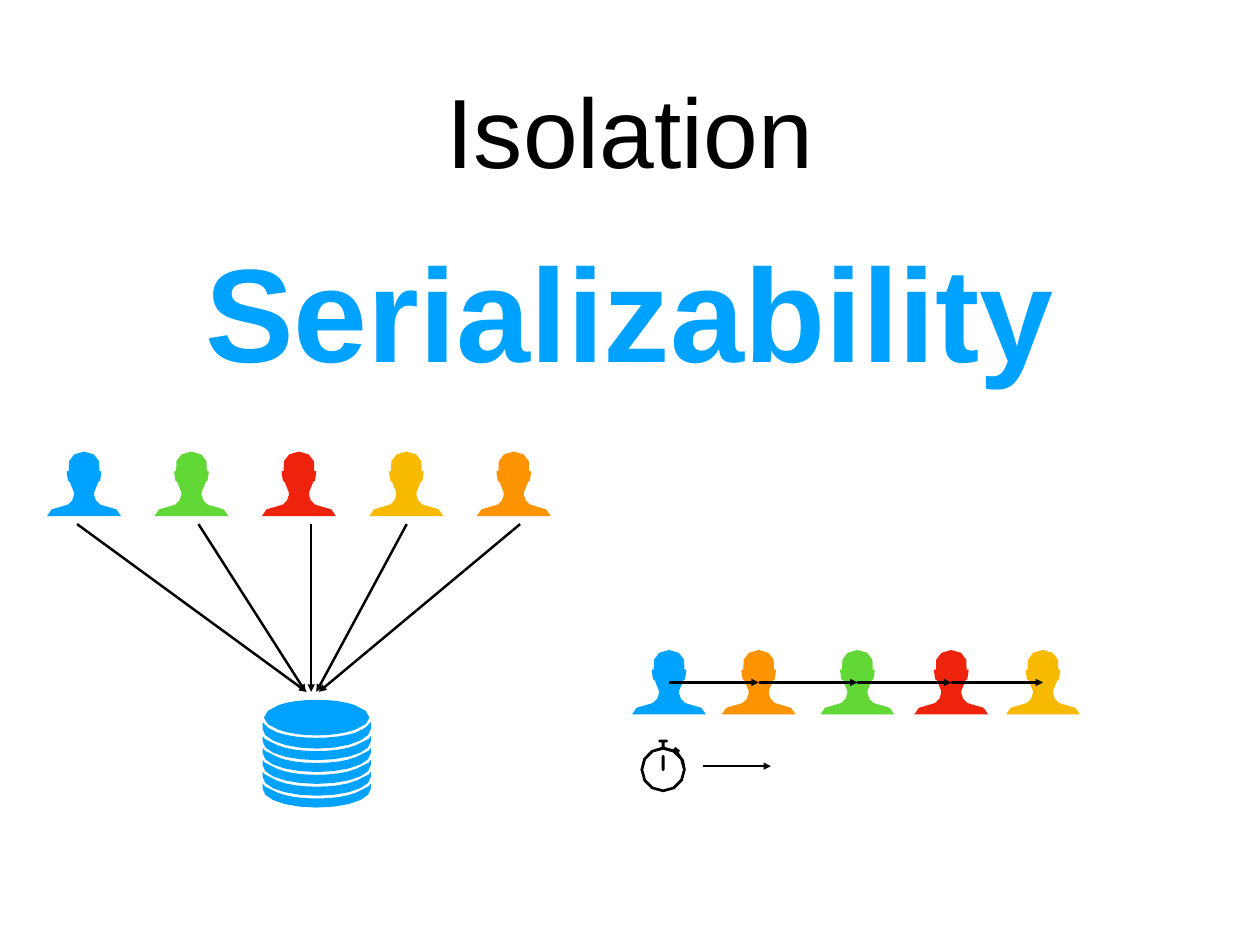
from dataclasses import dataclass
from itertools import pairwise
from math import ceil, dist

from lxml import etree
from pptx import Presentation
from pptx.dml.color import RGBColor
from pptx.enum.shapes import MSO_CONNECTOR
from pptx.enum.text import MSO_ANCHOR, MSO_AUTO_SIZE, PP_ALIGN
from pptx.oxml.ns import qn
from pptx.util import Cm, Pt

STRAIGHT = MSO_CONNECTOR.STRAIGHT
MIDDLE = MSO_ANCHOR.MIDDLE
CENTER = PP_ALIGN.CENTER
FIT_SHAPE = MSO_AUTO_SIZE.SHAPE_TO_FIT_TEXT
NO_FIT = MSO_AUTO_SIZE.NONE

BLUE, GREEN, RED = "00A2FF", "61D836", "EE230C"
YELLOW, ORANGE, BLACK = "F7BA01", "FE9301", "000000"
SEGMENT_LENGTH = 0.35

Point = tuple[float, float]
Contour = list[Point]
# An outline is a list of steps: one point is a line, three are a Bezier curve.
Outline = list[tuple[Point, ...]]


@dataclass
class Heading:
    text: str
    left: float
    top: float
    width: float
    height: float
    size: int
    color: str
    bold: bool
    auto_size: MSO_AUTO_SIZE


@dataclass
class Client:
    axis: float
    color: str


@dataclass
class Arrow:
    start: Point
    end: Point


def rgb(color: str) -> RGBColor:
    return RGBColor.from_string(color)


def flatten(outline: Outline) -> Contour:
    """Turn lines and curves into a row of points, more of them on long curves."""
    points = [outline[0][0]]
    for step in outline[1:]:
        if len(step) == 1:
            points.append(step[0])
            continue
        corners = (points[-1], *step)
        count = ceil(dist(corners[0], corners[3]) / SEGMENT_LENGTH)
        for i in range(1, count + 1):
            t = i / count
            weights = ((1 - t) ** 3, 3 * t * (1 - t) ** 2, 3 * t * t * (1 - t), t ** 3)
            x, y = (sum(w * c[k] for w, c in zip(weights, corners)) for k in (0, 1))
            points.append((x, y))
    return points


def symmetric(half: Outline) -> Contour:
    """Complete a half outline by mirroring it at its axis."""
    points = flatten(half)
    return points + [(-x, y) for x, y in reversed(points) if x]


def shifted(contour: Contour, down: float) -> Contour:
    return [(x, y + down) for x, y in contour]


def add_icon(shapes, contours: list[Contour], axis: float, top: float, color: str) -> None:
    placed = [[(Cm(axis + x), Cm(top + y)) for x, y in c] for c in contours]
    builder = shapes.build_freeform(*placed[0][0], scale=1.0)
    for i, contour in enumerate(placed):
        if i:
            builder.move_to(*contour[0])
        builder.add_line_segments(contour[1:], close=True)
    icon = builder.convert_to_shape()
    icon.shadow.inherit = False
    icon.fill.solid()
    icon.fill.fore_color.rgb = rgb(color)
    icon.line.fill.background()


def add_arrow(shapes, arrow: Arrow) -> None:
    ends = (Cm(v) for v in (*arrow.start, *arrow.end))
    connector = shapes.add_connector(STRAIGHT, *ends)
    connector.line.width = Pt(2)
    connector.line.color.rgb = rgb(BLACK)
    properties = connector._element.spPr
    etree.SubElement(properties.find(qn("a:ln")), qn("a:tailEnd"), type="triangle")
    etree.SubElement(properties, qn("a:effectLst"))


def add_heading(shapes, heading: Heading) -> None:
    area = (heading.left, heading.top, heading.width, heading.height)
    frame = shapes.add_textbox(*(Cm(v) for v in area)).text_frame
    frame.word_wrap = True
    frame.auto_size = heading.auto_size
    frame.vertical_anchor = MIDDLE
    frame.margin_left = frame.margin_right = Cm(0.14)
    frame.margin_top = frame.margin_bottom = Cm(0.14)
    paragraph = frame.paragraphs[0]
    paragraph.alignment = CENTER
    run = paragraph.add_run()
    run.text = heading.text
    run.font.name = "Arial"
    run.font.size = Pt(heading.size)
    run.font.bold = heading.bold
    run.font.color.rgb = rgb(heading.color)


# Icon outlines in centimetres, measured from the icon's axis
PERSON = [symmetric([
    ((0, 0),), ((0.23, 0), (0.38, 0.13), (0.43, 0.28)), ((0.44, 0.56),),
    ((0.5, 0.57),), ((0.46, 0.84),), ((0.41, 0.87),), ((0.29, 1.17),), ((0.29, 1.25),),
    ((0.34, 1.4),), ((0.46, 1.52),), ((0.66, 1.58),),
    ((0.91, 1.58), (0.99, 1.7), (1.06, 1.85)),
])]
DISK_LID = symmetric([
    ((0, 0),), ((0.43, 0), (0.81, 0.05), (1.09, 0.15)), ((1.37, 0.25), (1.51, 0.38), (1.51, 0.51)),
    ((1.51, 0.64), (1.37, 0.76), (1.09, 0.86)), ((0.81, 0.96), (0.43, 1.02), (0, 1.02)),
])
TOP_BAND = symmetric([
    ((0, 1.09),), ((0.43, 1.09), (0.81, 1.04), (1.12, 0.94)),
    ((1.33, 0.86), (1.48, 0.76), (1.55, 0.64)), ((1.55, 0.84),),
    ((1.55, 1.14), (0.86, 1.4), (0, 1.4)),
])
LOWER_BAND = symmetric([
    ((0, 1.47),), ((0.43, 1.47), (0.84, 1.42), (1.13, 1.3)),
    ((1.49, 1.12),), ((1.55, 1.04),), ((1.55, 1.19),),
    ((1.55, 1.5), (0.86, 1.73), (0, 1.73)),
])
DATABASE = [DISK_LID, TOP_BAND, *(shifted(LOWER_BAND, 0.34 * i) for i in range(5))]
WATCH_CASE = flatten([
    ((-0.11, -0.86),), ((-0.14, -0.82),), ((-0.11, -0.78),), ((-0.04, -0.78),),
    ((-0.04, -0.65),), ((-0.38, -0.63), (-0.65, -0.35), (-0.65, 0)),
    ((-0.65, 0.36), (-0.36, 0.65), (0, 0.65)), ((0.36, 0.65), (0.65, 0.36), (0.65, 0)),
    ((0.65, -0.19), (0.58, -0.37), (0.45, -0.48)), ((0.48, -0.55),), ((0.35, -0.65),),
    ((0.29, -0.58),), ((0.04, -0.65),), ((0.04, -0.78),), ((0.11, -0.78),),
    ((0.14, -0.82),), ((0.11, -0.86),),
])
WATCH_DIAL = symmetric([
    ((0, -0.57),), ((0.31, -0.57), (0.57, -0.31), (0.57, 0)),
    ((0.57, 0.31), (0.31, 0.57), (0, 0.57)),
])
WATCH_HAND = symmetric([((0, -0.43),), ((0.04, -0.38),), ((0.04, 0),), ((0, 0.05),)])
STOPWATCH = [WATCH_CASE, WATCH_DIAL, WATCH_HAND]

HEADINGS = [
    Heading("Isolation", 2.64, 0.71, 30.84, 5.99, 80, BLACK, False, NO_FIT),
    Heading("Serializability", 5.44, 6.48, 25.25, 4.8, 108, BLUE, True, FIT_SHAPE),
]
CONCURRENT = [Client(2.41 + 3.08 * i, color)
              for i, color in enumerate((BLUE, GREEN, RED, YELLOW, ORANGE))]
REQUESTS = [Arrow((start, 15.03), (end, 19.84)) for start, end in (
    (2.21, 8.79), (5.69, 8.76), (8.92, 8.92), (11.66, 9.07), (14.91, 9.14))]
SERIAL = [Client(19.18, BLUE), Client(21.75, ORANGE), Client(24.58, GREEN),
          Client(27.27, RED), Client(29.9, YELLOW)]
SERIAL_ORDER = [Arrow((a.axis, 19.57), (b.axis, 19.57)) for a, b in pairwise(SERIAL)]
TIME_ARROW = Arrow((20.14, 21.97), (22.1, 21.97))


def main() -> None:
    presentation = Presentation()
    presentation.slide_width, presentation.slide_height = Cm(36.12), Cm(27.1)
    slide = presentation.slides.add_slide(presentation.slide_layouts[6])
    for heading in HEADINGS:
        add_heading(slide.shapes, heading)

    # Concurrent clients calling one database
    concurrent = slide.shapes.add_group_shape().shapes
    for client in CONCURRENT:
        add_icon(concurrent, PERSON, client.axis, 12.95, client.color)
    add_icon(concurrent, DATABASE, 9.08, 20.07, BLUE)
    for request in REQUESTS:
        add_arrow(concurrent, request)

    # The same clients one after another in time
    for client in SERIAL:
        add_icon(slide.shapes, PERSON, client.axis, 18.64, client.color)
    add_icon(slide.shapes, STOPWATCH, 19.01, 22.07, BLACK)
    for arrow in (TIME_ARROW, *SERIAL_ORDER):
        add_arrow(slide.shapes, arrow)

    presentation.save("out.pptx")


if __name__ == "__main__":
    main()
